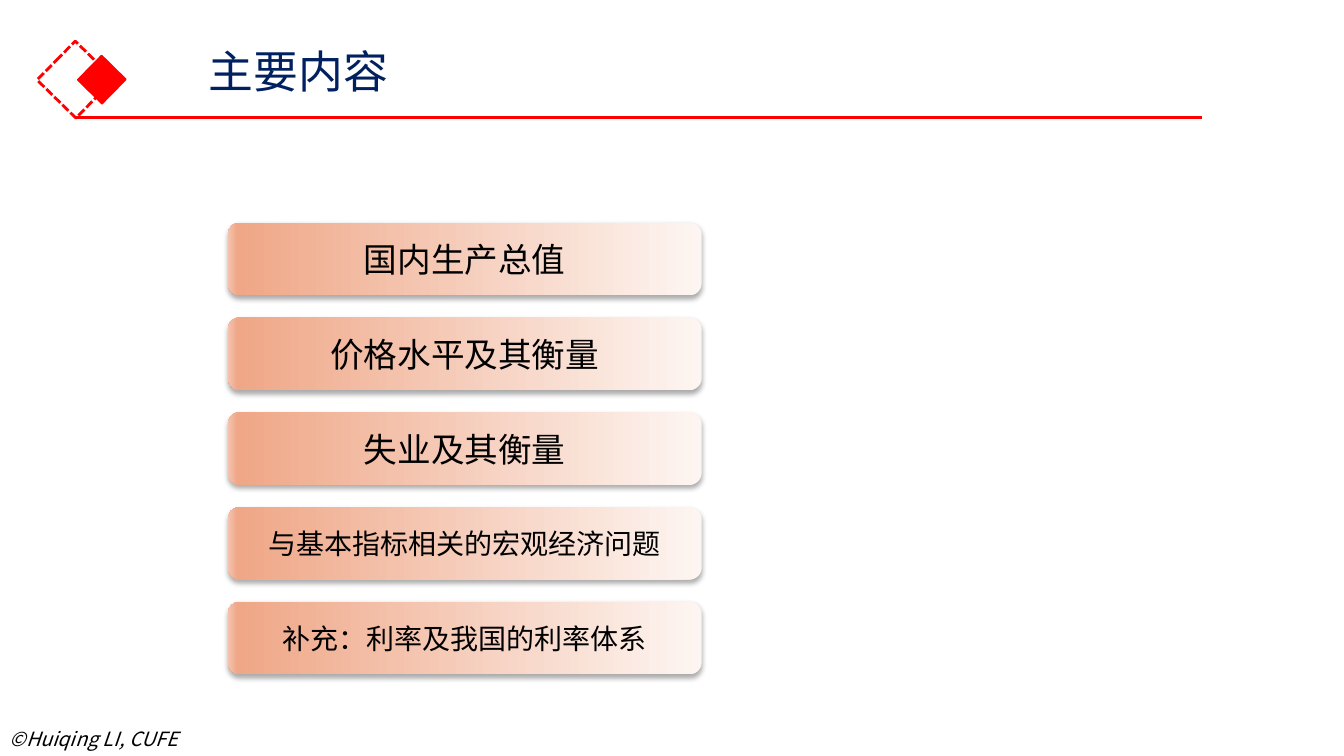
from copy import deepcopy

from lxml import etree
from pptx import Presentation
from pptx import oxml, util as u
from pptx.dml.color import RGBColor
from pptx.enum import dml, shapes, text
from pptx.oxml.ns import qn

TITLE = "主要内容"
COPYRIGHT = "©Huiqing LI, CUFE"
TOPICS = [  # wording, text size
    ("国内生产总值", 24),
    ("价格水平及其衡量", 24),
    ("失业及其衡量", 24),
    ("与基本指标相关的宏观经济问题", 20),
    ("补充：利率及我国的利率体系", 20),
]

FONT = "Noto Sans CJK SC"
RED = RGBColor(0xFF, 0x00, 0x00)
NAVY = RGBColor(0x00, 0x20, 0x60)
BLACK = RGBColor(0x00, 0x00, 0x00)
BAR_STOPS = [
    (0, RGBColor(0xFD, 0xF5, 0xF2)),
    (0.98, RGBColor(0xEF, 0xA7, 0x87)),
    (1, RGBColor(0xF4, 0xC4, 0xAF)),
]
BAR_LEFT, BAR_TOP, BAR_WIDTH, BAR_HEIGHT, BAR_PITCH = 2.26, 2.21, 4.7, 0.72, 0.94
SHADOW = (
    '<a:outerShdw xmlns:a="http://schemas.openxmlformats.org/drawingml/2006/main"'
    ' blurRad="44450" dist="27940" dir="5400000" algn="ctr" rotWithShape="0">'
    '<a:srgbClr val="000000"><a:alpha val="32000"/></a:srgbClr></a:outerShdw>'
)


def inches(*lengths):
    return [u.Inches(length) for length in lengths]


def write(shape, wording, **font_format):
    """Put one run of text in the shape, in the deck's font for all scripts."""
    span = shape.text_frame.paragraphs[0].add_run()
    span.text = wording
    color = font_format.pop("color", BLACK)
    for name, value in font_format.items():
        setattr(span.font, name, value)
    span.font.color.rgb = color
    span.font.name = FONT
    etree.SubElement(span.font._element, qn("a:ea"), typeface=FONT)


def add_label(page, at, wording, wrap, **font_format):
    box = page.shapes.add_textbox(*inches(*at))
    box.text_frame.word_wrap = wrap
    box.text_frame.auto_size = text.MSO_AUTO_SIZE.SHAPE_TO_FIT_TEXT
    write(box, wording, **font_format)


def add_diamond(page, left, top, side, line_width):
    diamond = page.shapes.add_shape(
        shapes.MSO_SHAPE.RECTANGLE, *inches(left, top, side, side))
    diamond.rotation = 314.5
    diamond.shadow.inherit = False
    diamond.line.color.rgb = RED
    diamond.line.width = u.Pt(line_width)
    return diamond


def add_header(page):
    dashed = add_diamond(page, 0.48, 0.52, 0.54, 2)
    dashed.fill.background()
    dashed.line.dash_style = dml.MSO_LINE.SQUARE_DOT
    dashed._element.spPr.find(qn("a:xfrm")).set("flipV", "1")

    solid = add_diamond(page, 0.84, 0.62, 0.34, 1)
    solid.fill.solid()
    solid.fill.fore_color.rgb = RED

    rule = page.shapes.add_connector(
        shapes.MSO_CONNECTOR.STRAIGHT, *inches(0.75, 1.17, 11.92, 1.17))
    rule.line.color.rgb = RED
    rule.line.width = u.Pt(2.25)
    etree.SubElement(rule._element.spPr, qn("a:effectLst"))

    add_label(page, (1.97, 0.38, 5.28, 0.64), TITLE, True,
              size=u.Pt(32), color=NAVY)


def add_bar(page, row, wording, size):
    bar = page.shapes.add_shape(
        shapes.MSO_SHAPE.ROUNDED_RECTANGLE,
        *inches(BAR_LEFT, BAR_TOP + row * BAR_PITCH, BAR_WIDTH, BAR_HEIGHT))
    bar.line.fill.background()
    bar.fill.gradient()
    bar.fill.gradient_angle = 180
    stop_list = bar._element.spPr.find(".//" + qn("a:gsLst"))
    stop_list.append(deepcopy(stop_list[0]))
    for stop, (position, color) in zip(bar.fill.gradient_stops, BAR_STOPS):
        stop.position = position
        stop.color.rgb = color
    bar.shadow.inherit = False
    bar._element.spPr.find(qn("a:effectLst")).append(oxml.parse_xml(SHADOW))
    bar.text_frame.word_wrap = True
    bar.text_frame.vertical_anchor = text.MSO_ANCHOR.MIDDLE
    bar.text_frame.paragraphs[0].alignment = text.PP_ALIGN.CENTER
    write(bar, wording, size=u.Pt(size))


def main():
    deck = Presentation()
    deck.slide_width, deck.slide_height = inches(13.33, 7.5)
    page = deck.slides.add_slide(deck.slide_layouts[6])
    add_label(page, (0, 7.16, 1.96, 0.34), COPYRIGHT, False,
              size=u.Pt(14), italic=True)
    add_header(page)
    for row, (wording, size) in enumerate(TOPICS):
        add_bar(page, row, wording, size)
    deck.save("out.pptx")


if __name__ == "__main__":
    main()
